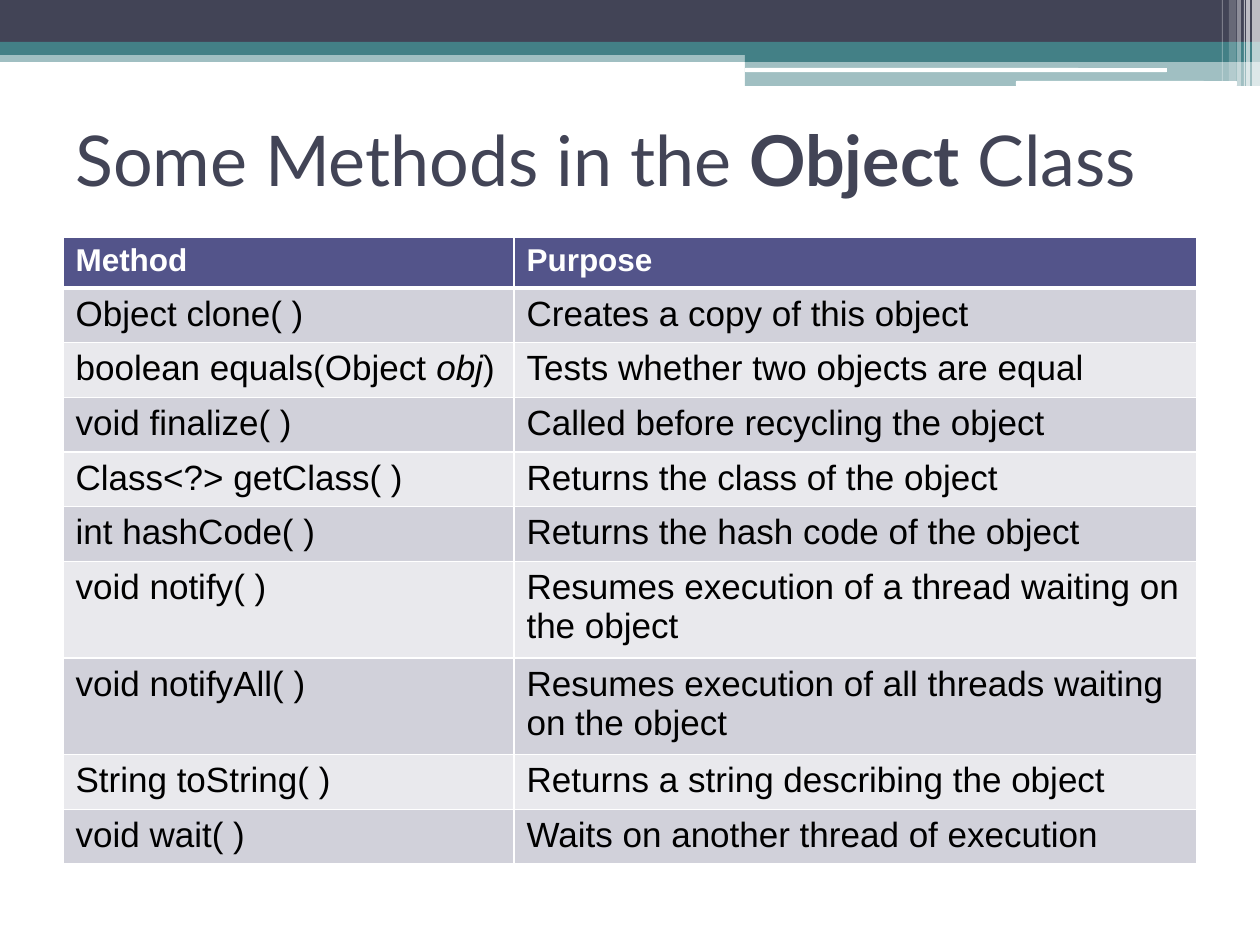
import pptx
import pptx.dml.color
import pptx.enum.shapes
import pptx.enum.text
import pptx.oxml
import pptx.oxml.ns
import pptx.util

SHAPE = pptx.enum.shapes.MSO_SHAPE
EMU_PER_PX = 914400 / 126

INK = "424456"
TEAL = "438086"
WHITE = "FFFFFF"
HEADER = "53548A"
BANDS = ["D1D1DA", "E9E9ED"]

# Preset, left, top, width, height, colour, opacity in percent
BANNER = [
    (SHAPE.RECTANGLE, 0, 50, 1260, 12, TEAL, 50),
    (SHAPE.RECTANGLE, 0, 0, 1260, 42, INK, 100),
    (SHAPE.RECTANGLE, 0, 42, 1260, 13, TEAL, 100),
    (SHAPE.RECTANGLE, 745, 49, 515, 13, TEAL, 100),
    (SHAPE.RECTANGLE, 745, 61, 515, 25, TEAL, 50),
    (SHAPE.ROUNDED_RECTANGLE, 745, 68, 422, 4, WHITE, 100),
    (SHAPE.ROUNDED_RECTANGLE, 1016, 81, 221, 5, WHITE, 100),
    (SHAPE.RECTANGLE, 1252, 0, 8, 86, WHITE, 65),
    (SHAPE.RECTANGLE, 1246, 0, 4, 86, WHITE, 65),
    (SHAPE.RECTANGLE, 1244, 0, 1, 86, WHITE, 60),
    (SHAPE.RECTANGLE, 1237, 0, 4, 86, WHITE, 40),
    (SHAPE.RECTANGLE, 1229, 0, 7, 81, WHITE, 20),
    (SHAPE.RECTANGLE, 1222, 0, 1, 81, WHITE, 30),
]

# A cell is a list of runs: text and the format that differs from the cell's
TITLE = [("Some Methods in the ", {}), ("Object", {"bold": True}), (" Class", {})]
METHODS = [
    ([("Method", {})], "Purpose"),
    ([("Object clone( )", {})], "Creates a copy of this object"),
    ([("boolean equals(Object ", {}), ("obj", {"italic": True}), (")", {})],
     "Tests whether two objects are equal"),
    ([("void finalize( )", {})], "Called before recycling the object"),
    ([("Class<?> getClass( )", {})], "Returns the class of the object"),
    ([("int hashCode( )", {})], "Returns the hash code of the object"),
    ([("void notify( )", {})], "Resumes execution of a thread waiting on the object"),
    ([("void notifyAll( )", {})], "Resumes execution of all threads waiting on the object"),
    ([("String toString( )", {})], "Returns a string describing the object"),
    ([("void wait( )", {})], "Waits on another thread of execution"),
]


def px(n):
    return pptx.util.Emu(round(n * EMU_PER_PX))


def rgb(code):
    return pptx.dml.color.RGBColor.from_string(code)


def write_runs(p, runs, color, **base):
    for text, changes in runs:
        r = p.add_run()
        r.text = text
        r.font.color.rgb = rgb(color)
        for name, value in {**base, **changes}.items():
            setattr(r.font, name, value)


def set_opacity(sp, percent):
    clr = sp.fill._xPr.find(".//" + pptx.oxml.ns.qn("a:srgbClr"))
    clr.append(pptx.oxml.parse_xml(
        f'<a:alpha {pptx.oxml.ns.nsdecls("a")} val="{percent * 1000}"/>'))


def set_borders(cell, color, widths):
    """Draw the left, right, top and bottom borders, widths in points."""
    tcPr = cell._tc.get_or_add_tcPr()
    for i, (side, width) in enumerate(zip("LRTB", widths)):
        tcPr.insert(i, pptx.oxml.parse_xml(
            f'<a:ln{side} {pptx.oxml.ns.nsdecls("a")} w="{pptx.util.Pt(width)}">'
            f'<a:solidFill><a:srgbClr val="{color}"/></a:solidFill></a:ln{side}>'))


def add_banner(s, left, top):
    for preset, x, y, w, h, color, opacity in BANNER:
        sp = s.shapes.add_shape(preset, px(left + x), px(top + y), px(w), px(h))
        sp.shadow.inherit = False
        sp.line.fill.background()
        sp.fill.solid()
        sp.fill.fore_color.rgb = rgb(color)
        if opacity < 100:
            set_opacity(sp, opacity)


def add_title(s, left, top, width, height):
    tf = s.shapes.add_textbox(px(left), px(top), px(width), px(height)).text_frame
    tf.word_wrap = True
    tf.vertical_anchor = pptx.enum.text.MSO_ANCHOR.MIDDLE
    write_runs(tf.paragraphs[0], TITLE, INK, name="Lato", size=pptx.util.Pt(40))


def add_methods_table(s, left, top, width, first_col=451, row=51, tall_row=91):
    """Rows whose purpose wraps to two lines are tall."""
    heights = [tall_row if len(purpose) > 45 else row for _, purpose in METHODS]
    table = s.shapes.add_table(len(METHODS), 2, px(left), px(top), px(width),
                               px(sum(heights))).table
    for col, w in zip(table.columns, (first_col, width - first_col)):
        col.width = px(w)
    for i, (method, purpose) in enumerate(METHODS):
        table.rows[i].height = px(heights[i])
        is_header = i == 0
        for j, runs in enumerate((method, [(purpose, {})])):
            cell = table.cell(i, j)
            cell.fill.solid()
            cell.fill.fore_color.rgb = rgb(HEADER if is_header else BANDS[(i - 1) % 2])
            set_borders(cell, WHITE, (1, 1, 3 if i == 1 else 1, 3 if is_header else 1))
            write_runs(cell.text_frame.paragraphs[0], runs,
                       WHITE if is_header else "000000", name="Arial",
                       size=pptx.util.Pt(18 if is_header else 20), bold=is_header)


def main():
    prs = pptx.Presentation()
    prs.slide_width, prs.slide_height = px(1260), px(945)
    s = prs.slides.add_slide(prs.slide_layouts[6])
    add_banner(s, 0, 0)
    add_title(s, 63, 85, 1134, 147)
    add_methods_table(s, 63, 237, 1134)
    prs.save("out.pptx")


if __name__ == "__main__":
    main()
